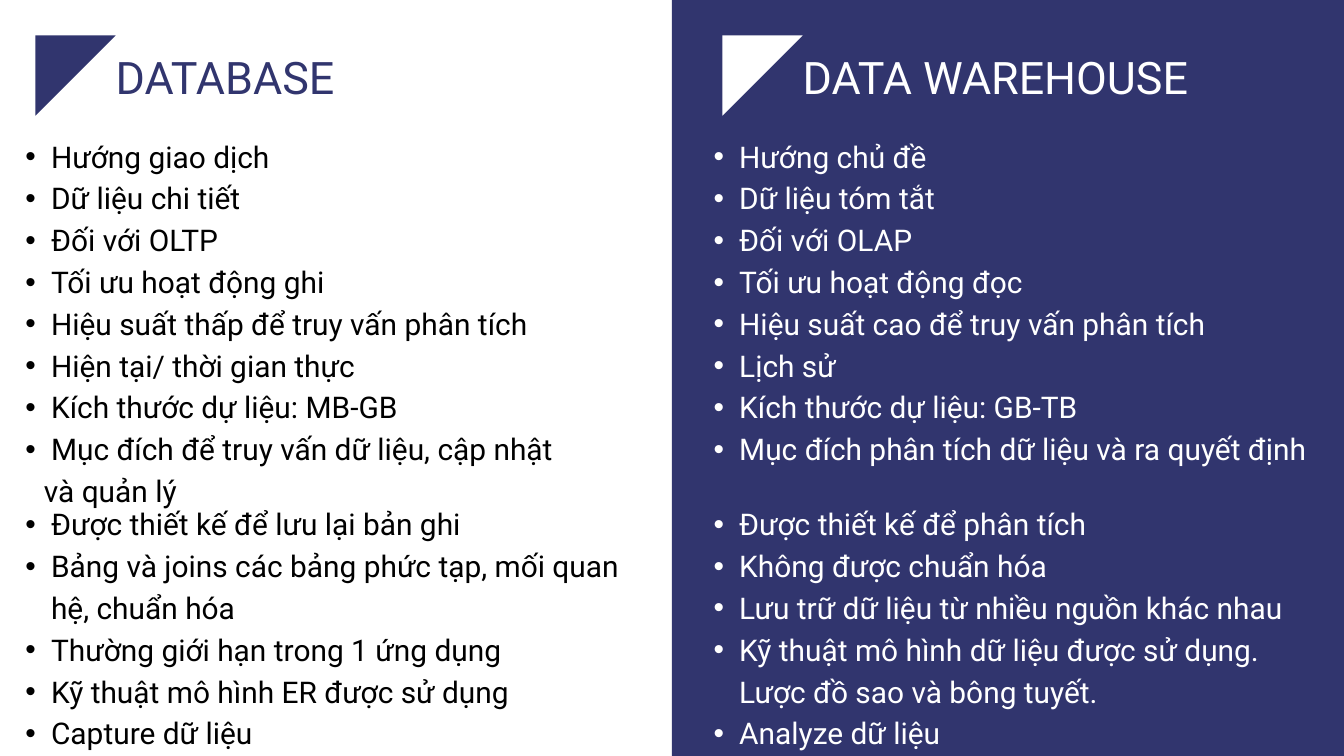
from lxml.etree import SubElement
from pptx import Presentation
from pptx.dml.color import RGBColor
from pptx.enum.shapes import MSO_SHAPE
from pptx.enum.text import MSO_ANCHOR, MSO_AUTO_SIZE, PP_ALIGN
from pptx.oxml.ns import qn
from pptx.util import Pt

COLORS = {"navy": "31356E", "white": "FFFFFF", "black": "000000"}
FONT = "Roboto"
TRIANGLE_TOP, TRIANGLE_SIDE = 38, 86
HEADING_TOP, UPPER_TOP, LOWER_TOP = 53.3, 141.8, 535.7
LIST_INDENT, HANGING, CONTINUATION_INDENT = 54.7, 27.4, 47

DATABASE_UPPER = [
    "Hướng giao dịch",
    "Dữ liệu chi tiết",
    "Đối với OLTP",
    "Tối ưu hoạt động ghi",
    "Hiệu suất thấp để truy vấn phân tích",
    "Hiện tại/ thời gian thực",
    "Kích thước dự liệu: MB-GB",
    "Mục đích để truy vấn dữ liệu, cập nhật",
]
DATABASE_CONTINUATION = "và quản lý"
DATABASE_LOWER = [
    "Được thiết kế để lưu lại bản ghi",
    "Bảng và joins các bảng phức tạp, mối quan hệ, chuẩn hóa",
    "Thường giới hạn trong 1 ứng dụng",
    "Kỹ thuật mô hình ER được sử dụng",
    "Capture dữ liệu",
]
WAREHOUSE_UPPER = [
    "Hướng chủ đề",
    "Dữ liệu tóm tắt",
    "Đối với OLAP",
    "Tối ưu hoạt động đọc",
    "Hiệu suất cao để truy vấn phân tích",
    "Lịch sử",
    "Kích thước dự liệu: GB-TB",
    "Mục đích phân tích dữ liệu và ra quyết định",
]
WAREHOUSE_LOWER = [
    "Được thiết kế để phân tích",
    "Không được chuẩn hóa",
    "Lưu trữ dữ liệu từ nhiều nguồn khác nhau",
    "Kỹ thuật mô hình dữ liệu được sử dụng. Lược đồ sao và bông tuyết.",
    "Analyze dữ liệu",
]


def rgb(color):
    return RGBColor.from_string(COLORS[color])


def paint(shape, color):
    shape.fill.solid()
    shape.fill.fore_color.rgb = rgb(color)
    shape.line.fill.background()
    shape.shadow.inherit = False


def add_panel(slide, left, width, height):
    panel = slide.shapes.add_shape(MSO_SHAPE.RECTANGLE, Pt(left), 0, Pt(width), Pt(height))
    paint(panel, "navy")
    slide.shapes.element.insert(2, panel.element)


def add_corner_triangle(slide, left, color):
    right, bottom = left + TRIANGLE_SIDE, TRIANGLE_TOP + TRIANGLE_SIDE
    outline = slide.shapes.build_freeform(Pt(left), Pt(bottom))
    outline.add_line_segments([(Pt(left), Pt(TRIANGLE_TOP)), (Pt(right), Pt(TRIANGLE_TOP))])
    paint(outline.convert_to_shape(), color)


def prepare_frame(shape, left, top, width, height):
    shape.left, shape.top, shape.width, shape.height = Pt(left), Pt(top), Pt(width), Pt(height)
    frame = shape.text_frame
    frame.margin_left = frame.margin_top = frame.margin_right = frame.margin_bottom = 0
    frame.word_wrap = True
    frame.auto_size = MSO_AUTO_SIZE.NONE
    frame.vertical_anchor = MSO_ANCHOR.TOP
    return frame


def format_paragraph(paragraph, size, line_spacing, color):
    paragraph.alignment = PP_ALIGN.LEFT
    paragraph.line_spacing = Pt(line_spacing)
    paragraph.space_before = paragraph.space_after = Pt(0)
    font = paragraph.font
    font.name, font.size, font.bold = FONT, Pt(size), False
    font.color.rgb = rgb(color)


def set_indent(paragraph, left, first_line, bullet):
    properties = paragraph._p.get_or_add_pPr()
    properties.set("marL", str(Pt(left)))
    properties.set("indent", str(Pt(first_line)))
    if bullet:
        SubElement(properties, qn("a:buFont"), typeface="Arial")
        SubElement(properties, qn("a:buChar"), char="•")
    else:
        SubElement(properties, qn("a:buNone"))


def fill_heading(shape, text, left, color):
    frame = prepare_frame(shape, left, HEADING_TOP, 479, 56)
    frame.text = text
    format_paragraph(frame.paragraphs[0], 48, 57.6, color)


def fill_list(shape, items, left, top, width, height, color, continuation=None):
    frame = prepare_frame(shape, left, top, width, height)
    frame.text = "\n".join(items)
    for paragraph in frame.paragraphs:
        set_indent(paragraph, LIST_INDENT, -HANGING, True)
    if continuation:
        paragraph = frame.add_paragraph()
        paragraph.text = continuation
        set_indent(paragraph, CONTINUATION_INDENT, 0, False)
    for paragraph in frame.paragraphs:
        format_paragraph(paragraph, 32, 44.8, color)


def main():
    presentation = Presentation()
    presentation.slide_width, presentation.slide_height = Pt(1440), Pt(810)
    slide = presentation.slides.add_slide(presentation.slide_layouts.get_by_name("Comparison"))
    bodies = slide.placeholders

    add_panel(slide, 720, 720, 810)
    add_corner_triangle(slide, 38, "navy")
    add_corner_triangle(slide, 774, "white")

    fill_heading(slide.shapes.title, "DATABASE", 124, "navy")
    warehouse_heading = slide.shapes.add_textbox(0, 0, 0, 0)
    fill_heading(warehouse_heading, "DATA WAREHOUSE", 860, "white")

    fill_list(bodies[1], DATABASE_UPPER, 0, UPPER_TOP, 689, 395, "black", DATABASE_CONTINUATION)
    fill_list(bodies[2], DATABASE_LOWER, 0, LOWER_TOP, 689, 263, "black")
    fill_list(bodies[3], WAREHOUSE_UPPER, 737.3, UPPER_TOP, 685, 351, "white")
    fill_list(bodies[4], WAREHOUSE_LOWER, 737.3, LOWER_TOP, 685, 263, "white")

    presentation.save("out.pptx")


if __name__ == "__main__":
    main()
